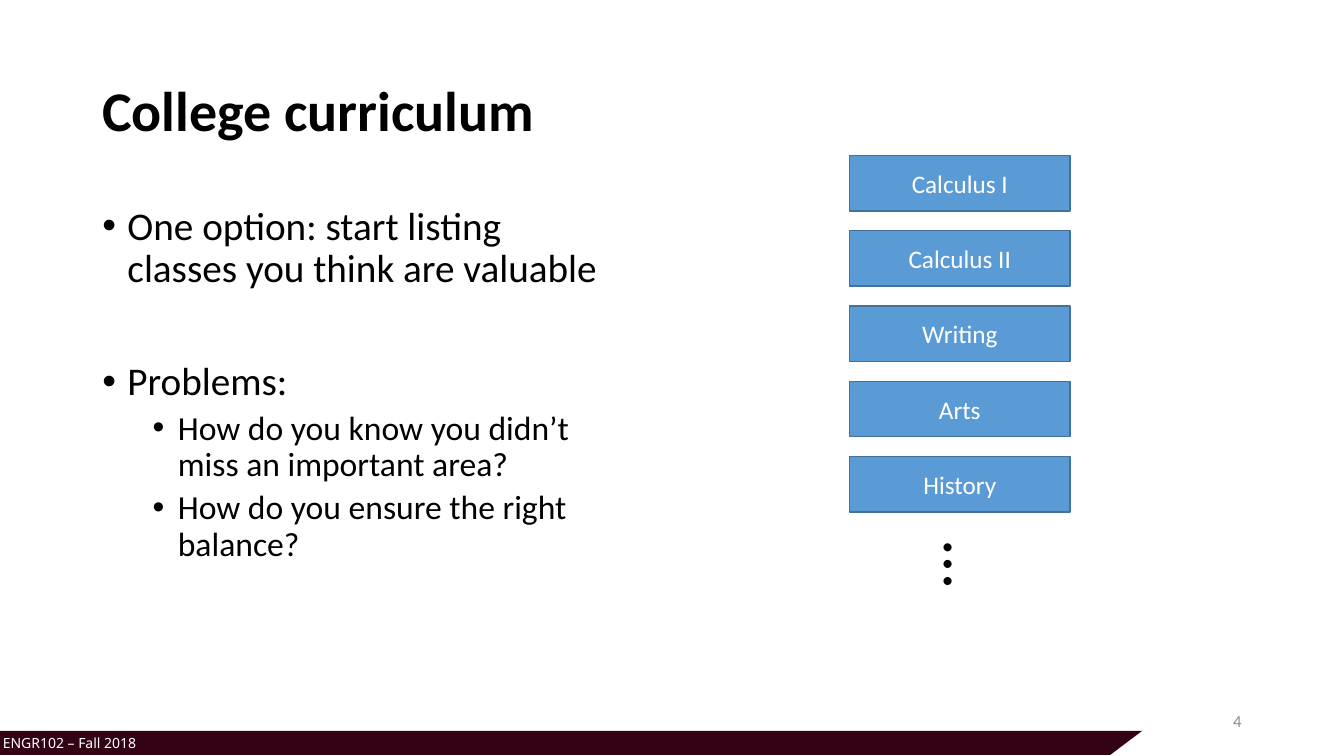
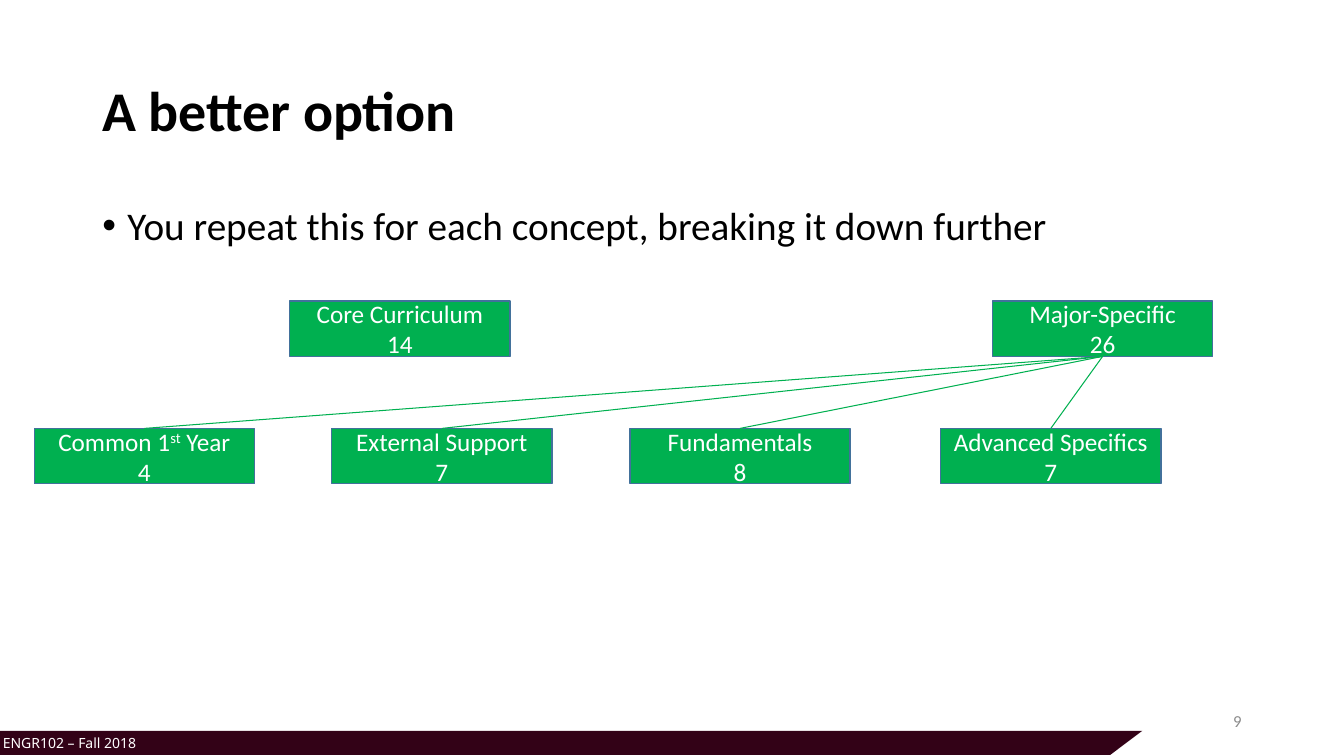
import lxml.etree
import pptx
import pptx.util
import pptx.dml.color
import pptx.enum.text
import pptx.enum.shapes
import pptx.oxml.ns

Pt = pptx.util.Pt
RGBColor = pptx.dml.color.RGBColor
ALIGN = pptx.enum.text.PP_ALIGN
ANCHOR = pptx.enum.text.MSO_ANCHOR
SHAPE = pptx.enum.shapes.MSO_SHAPE
LINE = pptx.enum.shapes.MSO_CONNECTOR

BLACK = RGBColor(0x00, 0x00, 0x00)
WHITE = RGBColor(0xFF, 0xFF, 0xFF)
GRAY = RGBColor(0x8C, 0x8C, 0x8C)
MAROON = RGBColor(0x33, 0x02, 0x17)
BLUE = RGBColor(0x5B, 0x9B, 0xD5)
EDGE = RGBColor(0x42, 0x71, 0x9B)
GREEN = RGBColor(0x00, 0xB0, 0x50)

WIDE, HIGH = 960, 540
LEFT, SPAN = 66, 828
BOX_W, BOX_H = 157.2, 39.6


def add_xml(parent, tag, **attrs):
    """Append a drawing element with attributes to a parent."""
    lxml.etree.SubElement(parent, pptx.oxml.ns.qn(tag), attrs)


def write(frame, text, size=18, color=BLACK, font="Calibri", bold=False, align=ALIGN.LEFT,
          anchor=ANCHOR.TOP, space=1.0, before=0, indent=None, more=False):
    """Write lines of text into a frame; carets enclose superscripts."""
    frame.word_wrap = True
    frame.vertical_anchor = anchor
    for row, line in enumerate(text.split("\n")):
        para = frame.add_paragraph() if more or row else frame.paragraphs[0]
        para.alignment = align
        para.line_spacing = space
        para.space_before = Pt(before)
        if indent is not None:
            props = para._p.get_or_add_pPr()
            props.set("marL", str(Pt(indent)))
            props.set("indent", str(Pt(-18)))
            add_xml(props, "a:buFont", typeface="Arial")
            add_xml(props, "a:buChar", char="•")
        for part, piece in enumerate(line.split("^")):
            run = para.add_run()
            run.text = piece
            run.font.size = Pt(size)
            run.font.name = font
            run.font.bold = bold
            run.font.color.rgb = color
            if part % 2:
                run._r.get_or_add_rPr().set("baseline", "30000")


def add_text(slide, box, text, **style):
    """Add a text box at the given left, top, width and height."""
    shape = slide.shapes.add_textbox(*map(Pt, box))
    write(shape.text_frame, text, **style)
    return shape


def add_box(slide, left, top, text, fill):
    """Add a course box with centred text."""
    shape = slide.shapes.add_shape(SHAPE.RECTANGLE, Pt(left), Pt(top), Pt(BOX_W), Pt(BOX_H))
    shape.shadow.inherit = False
    shape.fill.solid()
    shape.fill.fore_color.rgb = fill
    shape.line.color.rgb = EDGE
    shape.line.width = Pt(1)
    write(shape.text_frame, text, color=WHITE, align=ALIGN.CENTER, anchor=ANCHOR.MIDDLE)
    return shape


def add_link(slide, start, end):
    """Link the bottom of one box to the top of another."""
    link = slide.shapes.add_connector(LINE.STRAIGHT, 0, 0, 0, 0)
    link.begin_connect(start, 2)
    link.end_connect(end, 0)
    link.line.color.rgb = GREEN
    link.line.width = Pt(0.75)
    add_xml(link._element.spPr, "a:effectLst")


def add_band(slide, left, top, width, height):
    """Draw the slanted footer band with the course name."""
    build = slide.shapes.build_freeform(Pt(left), Pt(top))
    build.add_line_segments([
        (Pt(left + width), Pt(top)),
        (Pt(left + width - 23), Pt(top + height)),
        (Pt(left), Pt(top + height))])
    band = build.convert_to_shape()
    band.shadow.inherit = False
    band.fill.solid()
    band.fill.fore_color.rgb = MAROON
    band.line.fill.background()
    add_text(slide, (left - 4, top - 0.7, 540, 21.6), "ENGR102 – Fall 2018",
             size=10, font="Noto Sans", color=WHITE)


def add_slide(deck, title, number):
    """Add a blank slide with title, footer band and page number."""
    slide = deck.slides.add_slide(deck.slide_layouts[6])
    add_band(slide, -1, 522, 817, 17.3)
    add_text(slide, (LEFT, 28.8, SPAN, 104.4), title, size=40, bold=True,
             anchor=ANCHOR.MIDDLE, space=0.9)
    add_text(slide, (678, 500.4, 216, 28.8), str(number), size=12, color=GRAY,
             align=ALIGN.RIGHT, anchor=ANCHOR.MIDDLE)
    return slide


def add_body(slide, width, points):
    """Add bullets, each given as level, space before and text."""
    frame = slide.shapes.add_textbox(Pt(LEFT), Pt(144), Pt(width), Pt(342.7)).text_frame
    for row, (level, before, text) in enumerate(points):
        write(frame, text, size=28 - 4 * level, space=0.9, before=before,
              indent=18 + 36 * level, more=row > 0)


def add_stack(slide, left, top, names):
    """Stack course boxes at equal steps and end with dots."""
    step = 53.8
    for row, name in enumerate(names):
        add_box(slide, left, top + row * step, name, BLUE)
    dots = add_text(slide, (left + 62, top + len(names) * step - 9, 48.2, 65.5), "…", size=48)
    dots.rotation = 90


def add_tree(slide, top, parents, children):
    """Place two rows of boxes and link the last parent to the children."""
    for left, text in parents:
        parent = add_box(slide, left, top, text, GREEN)
    for left, text in children:
        child = add_box(slide, left, top + 91, text, GREEN)
        add_link(slide, parent, child)


def main():
    """Build and save the deck."""
    deck = pptx.Presentation()
    deck.slide_width, deck.slide_height = Pt(WIDE), Pt(HIGH)

    slide = add_slide(deck, "College curriculum", 4)
    add_body(slide, 380, [
        (0, 0, "One option: start listing classes you think are valuable"),
        (0, 50.5, "Problems:"),
        (1, 5, "How do you know you didn’t miss an important area?"),
        (1, 5, "How do you ensure the right balance?")])
    add_stack(slide, 607, 111, ["Calculus I", "Calculus II", "Writing", "Arts", "History"])

    slide = add_slide(deck, "A better option", 9)
    add_body(slide, SPAN, [(0, 0, "You repeat this for each concept, breaking it down further")])
    add_tree(slide, 215,
             [(207, "Core Curriculum\n14"), (709, "Major-Specific\n26")],
             [(24.5, "Common 1^st^ Year\n4"), (237, "External Support\n7"),
              (450, "Fundamentals\n8"), (672, "Advanced Specifics\n7")])

    deck.save("out.pptx")


main()
